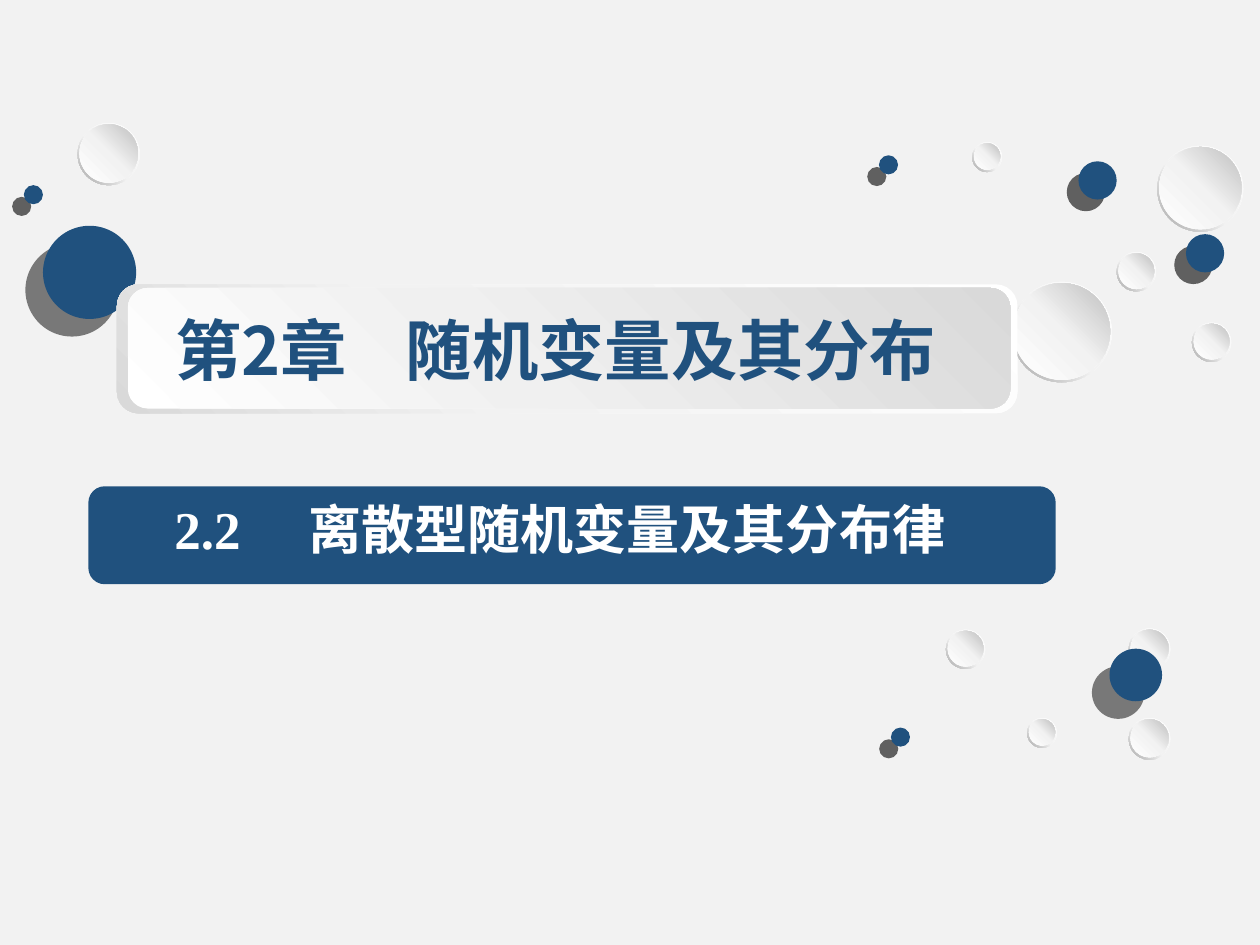
from dataclasses import dataclass

from lxml import etree
from pptx import Presentation
from pptx.dml.color import RGBColor
from pptx.enum.shapes import MSO_SHAPE as Shape
from pptx.oxml.ns import qn
from pptx.util import Inches, Pt

BLUE = RGBColor(0x20, 0x51, 0x7E)
WHITE = RGBColor(0xFF, 0xFF, 0xFF)
BLACK = RGBColor(0, 0, 0)
PALE = RGBColor(0xF2, 0xF2, 0xF2)
SOFT = RGBColor(0xF0, 0xF0, 0xF0)
LIGHT_GREY = RGBColor(0xD9, 0xD9, 0xD9)
MID_GREY = RGBColor(0xBF, 0xBF, 0xBF)
DARK_GREY = RGBColor(0xA6, 0xA6, 0xA6)
SANS, SERIF = "Noto Sans CJK SC", "Times New Roman"


@dataclass(frozen=True)
class Gradient:
    middle: int
    middle_color: RGBColor
    end_color: RGBColor
    angle: int


@dataclass(frozen=True)
class Circle:
    left: float
    top: float
    size: float


@dataclass(frozen=True)
class Dot(Circle):
    opacity: int = 60
    distance: int = 10


RIM = Gradient(55, PALE, DARK_GREY, 135)
BALL = Gradient(51, PALE, MID_GREY, 315)
FRAME = Gradient(62, PALE, LIGHT_GREY, 135)
PANEL = Gradient(42, SOFT, LIGHT_GREY, 315)

BUBBLES = [
    Circle(9.45, 5.26, 0.35), Circle(9.69, 1.22, 0.72), Circle(8.6, 6.01, 0.25),
    Circle(7.92, 5.27, 0.33), Circle(0.65, 1.03, 0.52), Circle(9.45, 6.01, 0.35),
    Circle(8.14, 1.19, 0.25), Circle(9.98, 2.7, 0.33), Circle(8.47, 2.36, 0.84),
    Circle(9.35, 2.11, 0.33),
]
DOTS = [
    Dot(0.36, 1.89, 0.78, 50, 15), Dot(9.29, 5.43, 0.44, 50, 15),
    Dot(9.03, 1.35, 0.32), Dot(9.93, 1.96, 0.32), Dot(0.2, 1.55, 0.16),
    Dot(7.36, 1.3, 0.16), Dot(7.46, 6.09, 0.16),
]


def add_color(parent, color: RGBColor):
    return etree.SubElement(parent, qn("a:srgbClr"), val=str(color))


def fill_gradient(sp, gradient: Gradient) -> None:
    grad = etree.Element(qn("a:gradFill"), rotWithShape="1")
    stops = etree.SubElement(grad, qn("a:gsLst"))
    for pos, color in ((0, WHITE), (gradient.middle, gradient.middle_color),
                       (100, gradient.end_color)):
        add_color(etree.SubElement(stops, qn("a:gs"), pos=str(pos * 1000)), color)
    etree.SubElement(grad, qn("a:lin"), ang=str(gradient.angle * 60000), scaled="0")
    sp._element.spPr.find(qn("a:prstGeom")).addnext(grad)


def add_figure(slide, kind: Shape, left: float, top: float, width: float,
               height: float, fill: RGBColor | Gradient):
    sp = slide.shapes.add_shape(kind, Inches(left), Inches(top),
                                Inches(width), Inches(height))
    sp.shadow.inherit = False
    sp.line.fill.background()
    if isinstance(fill, Gradient):
        fill_gradient(sp, fill)
    else:
        sp.fill.solid()
        sp.fill.fore_color.rgb = fill
    return sp


def add_bubble(slide, c: Circle) -> None:
    rim = add_figure(slide, Shape.DONUT, c.left, c.top, c.size, c.size, RIM)
    rim.adjustments[0] = 0.049
    inner = c.size - 0.03
    add_figure(slide, Shape.OVAL, c.left + 0.015, c.top + 0.01, inner, inner, BALL)


def add_dot(slide, d: Dot) -> None:
    sp = add_figure(slide, Shape.OVAL, d.left, d.top, d.size, d.size, BLUE)
    effects = sp._element.spPr.find(qn("a:effectLst"))
    shadow = etree.SubElement(effects, qn("a:outerShdw"), blurRad="0",
                              dist=str(Pt(d.distance)), dir=str(135 * 60000),
                              algn="tr", rotWithShape="0")
    etree.SubElement(add_color(shadow, BLACK), qn("a:alpha"),
                     val=str(d.opacity * 1000))


def add_text(slide, text: str, *, left: float, top: float, width: float,
             height: float, indent: float, inset: float, tab: float,
             size: int, font: str, color: RGBColor) -> None:
    box = slide.shapes.add_textbox(Inches(left), Inches(top),
                                   Inches(width), Inches(height))
    tf = box.text_frame
    tf.word_wrap = True
    tf.margin_left, tf.margin_right = Inches(indent), Inches(0.1)
    tf.margin_top = tf.margin_bottom = Inches(inset)
    p = tf.paragraphs[0]
    tabs = etree.SubElement(p._p.get_or_add_pPr(), qn("a:tabLst"))
    etree.SubElement(tabs, qn("a:tab"), pos=str(Inches(tab)), algn="l")
    r = p.add_run()
    r.text = text
    r.font.size, r.font.name, r.font.bold = Pt(size), font, True
    r.font.color.rgb = color
    r.font._element.find(qn("a:latin")).addnext(
        etree.Element(qn("a:ea"), typeface=SANS))


def main() -> None:
    prs = Presentation()
    prs.slide_width, prs.slide_height = Inches(10.55), Inches(7.91)
    slide = prs.slides.add_slide(prs.slide_layouts[6])
    slide.background.fill.solid()
    slide.background.fill.fore_color.rgb = PALE

    # Scattered bubbles and dots
    for bubble in BUBBLES:
        add_bubble(slide, bubble)
    for dot in DOTS:
        add_dot(slide, dot)

    # Chapter title
    add_figure(slide, Shape.ROUNDED_RECTANGLE, 0.98, 2.38, 7.54, 1.08, FRAME)
    add_figure(slide, Shape.ROUNDED_RECTANGLE, 1.07, 2.41, 7.39, 1.01, PANEL)
    add_text(slide, "第2章\t随机变量及其分布", left=0.86, top=2.52, width=7.6,
             height=0.82, indent=0.61, inset=0.07, tab=1.93, size=40,
             font=SANS, color=BLUE)

    # Section title
    add_figure(slide, Shape.ROUNDED_RECTANGLE, 0.74, 4.07, 8.1, 0.82, BLUE)
    add_text(slide, "2.2\t离散型随机变量及其分布律", left=0.63, top=4.11, width=8.09,
             height=0.71, indent=0.83, inset=0.05, tab=1.12, size=32,
             font=SERIF, color=WHITE)

    prs.save("out.pptx")


if __name__ == "__main__":
    main()
